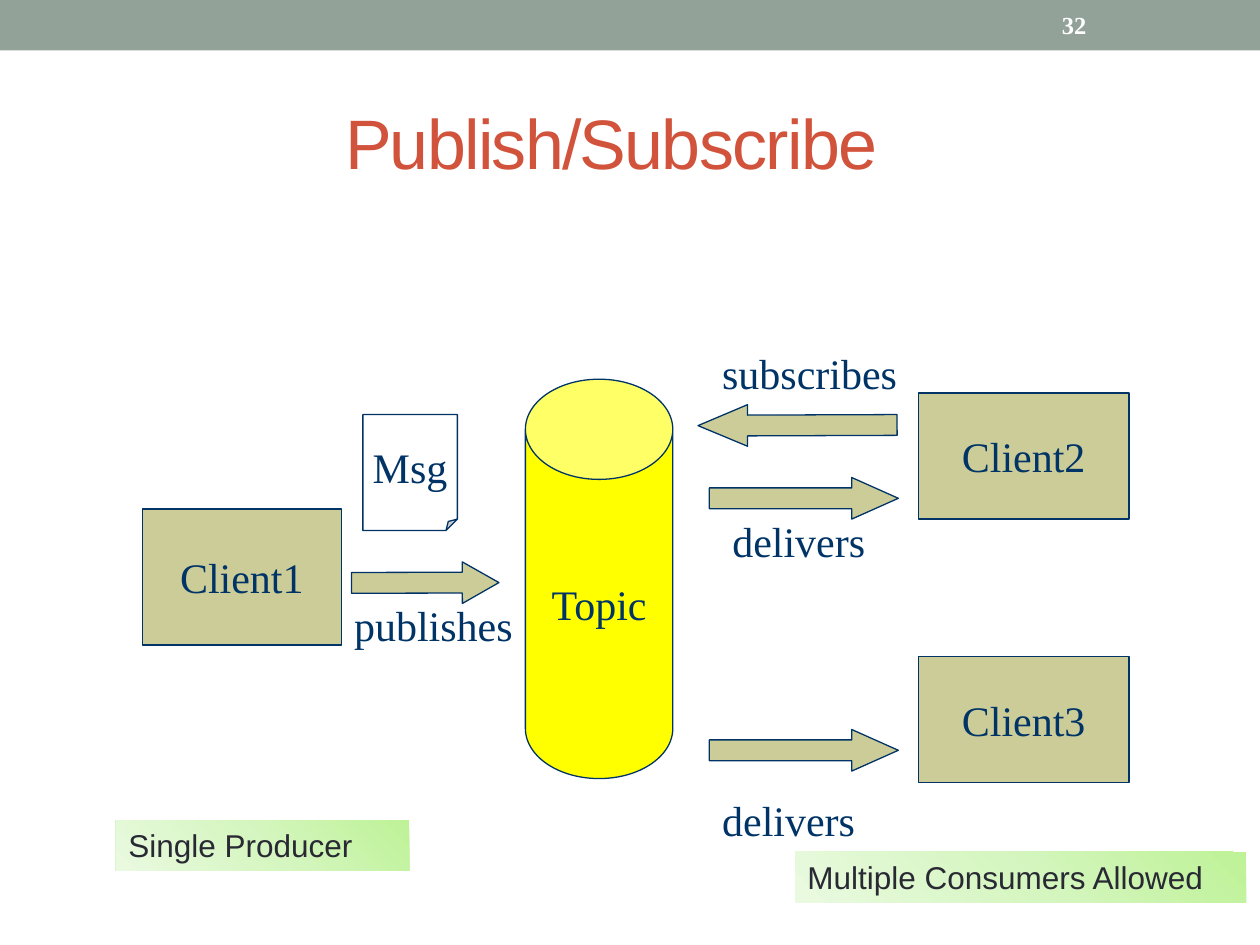
from copy import deepcopy
from pptx import Presentation
from pptx.dml.color import RGBColor
from pptx.enum.shapes import MSO_SHAPE
from pptx.enum.text import MSO_ANCHOR, MSO_AUTO_SIZE, PP_ALIGN
from pptx.util import Inches, Pt

HUES = {
    "bar": "93A299", "title": "D2533C", "navy": "003366", "tan": "CCCC99",
    "white": "FFFFFF", "yellow": "FFFF00", "ink": "292934",
    "lime": "BEF297", "mint": "D5F6C0", "pale": "EAFAE0",
}
SERIF = {"name": "Times New Roman", "size": Pt(24)}
SANS = {"name": "Arial", "size": Pt(18)}
HEAD = {"name": "Arial", "size": Pt(40)}
PAGE = {"name": "Times New Roman", "size": Pt(14), "bold": True}


def hue(name):
    return RGBColor.from_string(HUES[name])


def write(shape, text, style, color, **frame):
    body = shape.text_frame
    form = {"word_wrap": False, "vertical_anchor": MSO_ANCHOR.MIDDLE, **frame}
    align = form.pop("align", PP_ALIGN.CENTER)
    for key, value in form.items():
        setattr(body, key, value)
    para = body.paragraphs[0]
    para.alignment = align
    run = para.add_run()
    run.text = text
    for key, value in style.items():
        setattr(run.font, key, value)
    run.font.color.rgb = hue(color)
    return run


def add_box(slide, kind, spot, fill, text="", line="navy", adjust=None):
    shape = slide.shapes.add_shape(kind, *map(Inches, spot))
    shape.shadow.inherit = False
    if adjust:
        guides = [(name, round(value * 100000)) for name, value in adjust.items()]
        shape.element.spPr.xpath("./a:prstGeom")[0].rewrite_guides(guides)
    shape.fill.solid()
    shape.fill.fore_color.rgb = hue(fill)
    if line:
        shape.line.color.rgb = hue(line)
        shape.line.width = Pt(0.75)
    else:
        shape.line.fill.background()
    if text:
        write(shape, text, SERIF, "navy")
    return shape


def add_arrow(slide, left, top, width, head, turn=0):
    shape = add_box(slide, MSO_SHAPE.RIGHT_ARROW, (left, top, width, 0.33),
                    "tan", adjust={"adj1": 0.5, "adj2": head})
    shape.rotation = turn


def add_text(slide, spot, text, style, color, **frame):
    box = slide.shapes.add_textbox(*map(Inches, spot))
    return write(box, text, style, color, **frame)


def add_label(slide, left, top, width, text):
    add_text(slide, (left, top, width, 0.5), text, SERIF, "navy",
             vertical_anchor=MSO_ANCHOR.TOP,
             auto_size=MSO_AUTO_SIZE.SHAPE_TO_FIT_TEXT)


def add_note(slide, left, top, width, text):
    shape = add_box(slide, MSO_SHAPE.RECTANGLE, (left, top, width, 0.4),
                    "pale", line=None)
    shape.fill.gradient()
    shape.fill.gradient_angle = 225
    first = shape.element.spPr.xpath(".//a:gs")[0]
    first.addnext(deepcopy(first))
    marks = zip(shape.fill.gradient_stops, ("lime", "mint", "pale"), (0, 0.5, 1))
    for stop, color, place in marks:
        stop.color.rgb = hue(color)
        stop.position = place
    write(shape, text, SANS, "ink", align=PP_ALIGN.LEFT, word_wrap=True,
          vertical_anchor=MSO_ANCHOR.TOP,
          auto_size=MSO_AUTO_SIZE.SHAPE_TO_FIT_TEXT)


def main():
    deck = Presentation()
    deck.slide_width, deck.slide_height = Inches(10), Inches(7.5)
    slide = deck.slides.add_slide(deck.slide_layouts[6])

    add_box(slide, MSO_SHAPE.RECTANGLE, (0, 0, 10, 0.4), "bar", line=None)
    title = add_text(slide, (0.35, 0.58, 9, 1.08), "Publish/Subscribe",
                     HEAD, "title", word_wrap=True)
    title.font._element.set("spc", "-100")
    add_text(slide, (8.33, 0.02, 1.17, 0.36), "32", PAGE, "white",
             align=PP_ALIGN.LEFT, word_wrap=True)

    for text, spot in (
        ("Client1", (1.13, 4.04, 1.58, 1.08)),
        ("Client2", (7.29, 3.12, 1.67, 1)),
        ("Client3", (7.29, 5.21, 1.67, 1)),
    ):
        add_box(slide, MSO_SHAPE.RECTANGLE, spot, "tan", text)

    add_box(slide, MSO_SHAPE.FOLDED_CORNER, (2.88, 3.29, 0.75, 0.92),
            "white", "Msg", adjust={"adj": 0.12})
    add_box(slide, MSO_SHAPE.CAN, (4.17, 3.01, 1.17, 3.17),
            "yellow", "Topic", adjust={"adj": 0.68})

    add_arrow(slide, 2.79, 4.46, 1.17, 0.88, 359.9)
    add_arrow(slide, 5.54, 3.21, 1.58, 1.19, 179.8)
    for top in (3.79, 5.79):
        add_arrow(slide, 5.63, top, 1.5, 1.12)

    add_label(slide, 2.71, 4.71, 1.46, "publishes")
    add_label(slide, 5.63, 2.71, 1.59, "subscribes")
    for left, top in ((5.71, 4.04), (5.63, 6.26)):
        add_label(slide, left, top, 1.26, "delivers")

    add_note(slide, 6.31, 6.76, 3.58, "Multiple Consumers Allowed")
    add_note(slide, 0.92, 6.51, 2.33, "Single Producer")
    deck.save("out.pptx")


if __name__ == "__main__":
    main()
